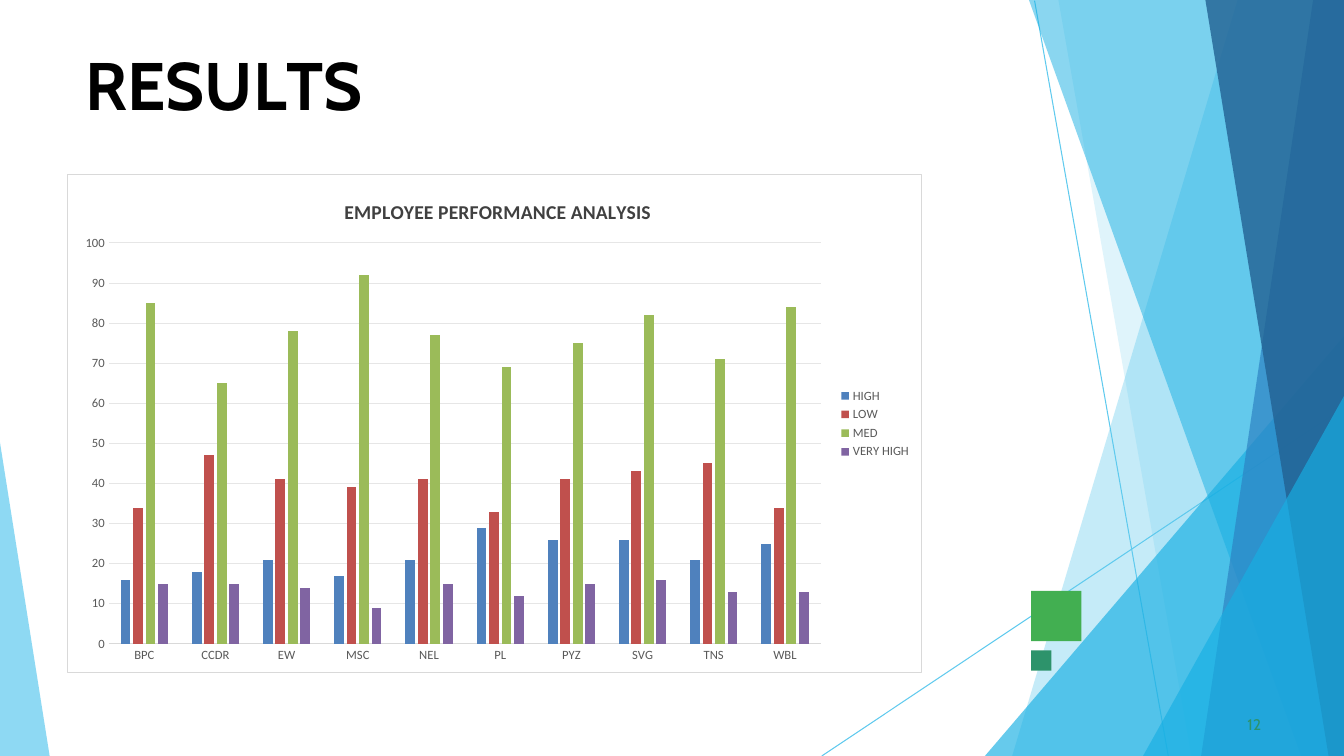
from collections import namedtuple

from lxml import etree
from pptx import Presentation
from pptx.chart.data import CategoryChartData
from pptx.dml.color import RGBColor
from pptx.enum.chart import XL_CHART_TYPE as ChartType
from pptx.enum.chart import XL_LEGEND_POSITION as LegendPosition
from pptx.enum.chart import XL_TICK_MARK as TickMark
from pptx.enum.shapes import MSO_CONNECTOR as Connector
from pptx.enum.shapes import MSO_SHAPE as Shape
from pptx.enum.text import MSO_ANCHOR as Anchor
from pptx.enum.text import MSO_AUTO_SIZE as AutoSize
from pptx.enum.text import PP_ALIGN as Align
from pptx.oxml import parse_xml
from pptx.oxml.ns import nsdecls, qn
from pptx.util import Pt

Box = namedtuple("Box", "left top width height")
SLIDE = Box(0, 0, 960, 540)

RAYS = [((739, 0.5), (834.5, 540)), ((960, 291), (587, 540))]
FACETS = [
    ("5FCAEE", 36, [(960, 0), (884, 0), (723, 540), (960, 540)]),
    ("5FCAEE", 20, [(960, 0), (756, 0), (851, 540), (960, 540)]),
    ("17AFE3", 66, [(960, 240), (703.5, 540), (960, 540)]),
    ("17AFE3", 50, [(960, 0), (735, 0), (929.5, 540), (960, 540)]),
    ("2D83C3", 70, [(960, 0), (938, 0), (858, 540), (960, 540)]),
    ("226192", 80, [(960, 0), (861, 0), (949, 540), (960, 540)]),
    ("17AFE3", 66, [(960, 283), (816.5, 540), (960, 540)]),
    ("5FCAEE", 70, [(0, 316), (0, 540), (35.5, 540)]),
]
TITLE_RUNS = [("R", 0), ("E", -0.4), ("S", 0.1), ("U", -0.3), ("L", -4), ("TS", 0)]
CATEGORIES = ["BPC", "CCDR", "EW", "MSC", "NEL", "PL", "PYZ", "SVG", "TNS", "WBL"]
SERIES = [
    ("HIGH", "4F81BD", [16, 18, 21, 17, 21, 29, 26, 26, 21, 25]),
    ("LOW", "C0504D", [34, 47, 41, 39, 41, 33, 41, 43, 45, 34]),
    ("MED", "9BBB59", [85, 65, 78, 92, 77, 69, 75, 82, 71, 84]),
    ("VERY HIGH", "8064A2", [15, 15, 14, 9, 15, 12, 15, 16, 13, 13]),
]


def color(value):
    return RGBColor.from_string(value)


def set_fill(shape, value, opacity=100):
    shape.shadow.inherit = False
    shape.line.fill.background()
    shape.fill.solid()
    shape.fill.fore_color.rgb = color(value)
    if opacity < 100:
        tint = shape.fill._xPr.find(".//" + qn("a:srgbClr"))
        etree.SubElement(tint, qn("a:alpha"), val=str(opacity * 1000))


def set_line(line, value):
    line.color.rgb = color(value)
    line.width = Pt(0.75)


def set_font(font, name, size, value, bold=False):
    font.name, font.size, font.bold = name, Pt(size), bold
    font.color.rgb = color(value)


def add_backdrop(slide, box):
    """Draw the thin rays and the translucent facets along the slide edges."""
    for (x1, y1), (x2, y2) in RAYS:
        ray = slide.shapes.add_connector(
            Connector.STRAIGHT,
            Pt(box.left + x1), Pt(box.top + y1), Pt(box.left + x2), Pt(box.top + y2))
        set_line(ray.line, "5FCAEE")
        etree.SubElement(ray._element.spPr, qn("a:effectLst"))
    for value, opacity, corners in FACETS:
        points = [(Pt(box.left + x), Pt(box.top + y)) for x, y in corners]
        builder = slide.shapes.build_freeform(*points[0])
        builder.add_line_segments(points[1:], close=True)
        set_fill(builder.convert_to_shape(), value, opacity)


def add_squares(slide, box):
    """Stack a large square at the top of the box and a small one at its bottom."""
    small = 14.5
    for top, side, value in [(box.top, box.width, "42AF51"),
                             (box.top + box.height - small, small, "2D936B")]:
        square = slide.shapes.add_shape(
            Shape.RECTANGLE, Pt(box.left), Pt(top), Pt(side), Pt(side))
        set_fill(square, value)


def write_text(shape, box, runs, indent, space_before, size, value, bold=False):
    """Place the shape and fill it with runs given as (text, letter spacing)."""
    shape.left, shape.top, shape.width, shape.height = map(Pt, box)
    frame = shape.text_frame
    frame.word_wrap = True
    frame.auto_size = AutoSize.SHAPE_TO_FIT_TEXT
    frame.vertical_anchor = Anchor.TOP
    frame.margin_left, frame.margin_top = Pt(indent), Pt(1)
    frame.margin_right = frame.margin_bottom = 0
    paragraph = frame.paragraphs[0]
    paragraph.alignment = Align.LEFT
    paragraph.space_before = Pt(space_before)
    set_font(paragraph.font, "Cabin", size, value, bold)
    for text, spacing in runs:
        run = paragraph.add_run()
        run.text = text
        run.font._element.set("spc", str(round(spacing * 100)))


def add_title(slide, box):
    write_text(slide.shapes.title, box, TITLE_RUNS, 1, 1.1, 48, "000000", True)


def add_page_number(slide, box):
    text_box = slide.shapes.add_textbox(*map(Pt, box))
    write_text(text_box, box, [("12", 0.1)], 3, 0.6, 11, "2D936B")


def set_layout(parent, position, target="", **fractions):
    """Fix a chart part at fractions of the chart area."""
    for old in parent.findall(qn("c:layout")):
        parent.remove(old)
    modes = "".join(f'<c:{key}Mode val="edge"/>' for key in "xy")
    values = "".join(f'<c:{key} val="{value}"/>' for key, value in fractions.items())
    parent.insert(position, parse_xml(
        f'<c:layout {nsdecls("c")}><c:manualLayout>{target}{modes}{values}'
        "</c:manualLayout></c:layout>"))


def style_chart_area(chart):
    chart.element.find(qn("c:chart")).addnext(parse_xml(
        f'<c:spPr {nsdecls("c", "a")}>'
        '<a:solidFill><a:srgbClr val="FFFFFF"/></a:solidFill>'
        '<a:ln w="9525"><a:solidFill><a:srgbClr val="D9D9D9"/></a:solidFill></a:ln>'
        "</c:spPr>"))


def add_performance_chart(slide, box):
    data = CategoryChartData()
    data.categories = CATEGORIES
    for name, _, values in SERIES:
        data.add_series(name, values)
    chart = slide.shapes.add_chart(
        ChartType.COLUMN_CLUSTERED, *map(Pt, box), data).chart
    set_font(chart.font, "Calibri", 10, "000000")
    style_chart_area(chart)

    title = chart.chart_title
    title.text_frame.text = "EMPLOYEE PERFORMANCE ANALYSIS"
    set_font(title.text_frame.paragraphs[0].font, "Calibri", 14, "404040", True)
    set_layout(title._element, 1, x=0.32, y=0.04)

    plot = chart.plots[0]
    plot.gap_width, plot.overlap, plot.vary_by_categories = 246, -28, False
    for series, (_, value, _) in zip(plot.series, SERIES):
        series.format.fill.solid()
        series.format.fill.fore_color.rgb = color(value)
    set_layout(chart.element.find(".//" + qn("c:plotArea")), 0,
               '<c:layoutTarget val="inner"/>', x=0.048, y=0.137, w=0.834, h=0.805)

    for axis in (chart.category_axis, chart.value_axis):
        axis.major_tick_mark = axis.minor_tick_mark = TickMark.NONE
        set_font(axis.tick_labels.font, "Calibri", 9, "595959")
    set_line(chart.category_axis.format.line, "D9D9D9")
    value_axis = chart.value_axis
    value_axis.minimum_scale, value_axis.maximum_scale = 0, 100
    value_axis.major_unit = 10
    value_axis.format.line.fill.background()
    set_line(value_axis.major_gridlines.format.line, "E6E6E6")

    chart.has_legend = True
    chart.legend.position = LegendPosition.RIGHT
    chart.legend.include_in_layout = False
    set_font(chart.legend.font, "Calibri", 9, "595959")


def main():
    presentation = Presentation()
    presentation.slide_width, presentation.slide_height = Pt(SLIDE.width), Pt(SLIDE.height)
    slide = presentation.slides.add_slide(presentation.slide_layouts[5])
    add_backdrop(slide, SLIDE)
    add_squares(slide, Box(736.5, 422, 36, 57))
    add_title(slide, Box(60, 30, 841, 60))
    add_page_number(slide, Box(888, 510, 18, 15))
    add_performance_chart(slide, Box(48, 124.5, 610.5, 356.5))
    presentation.save("out.pptx")


if __name__ == "__main__":
    main()
